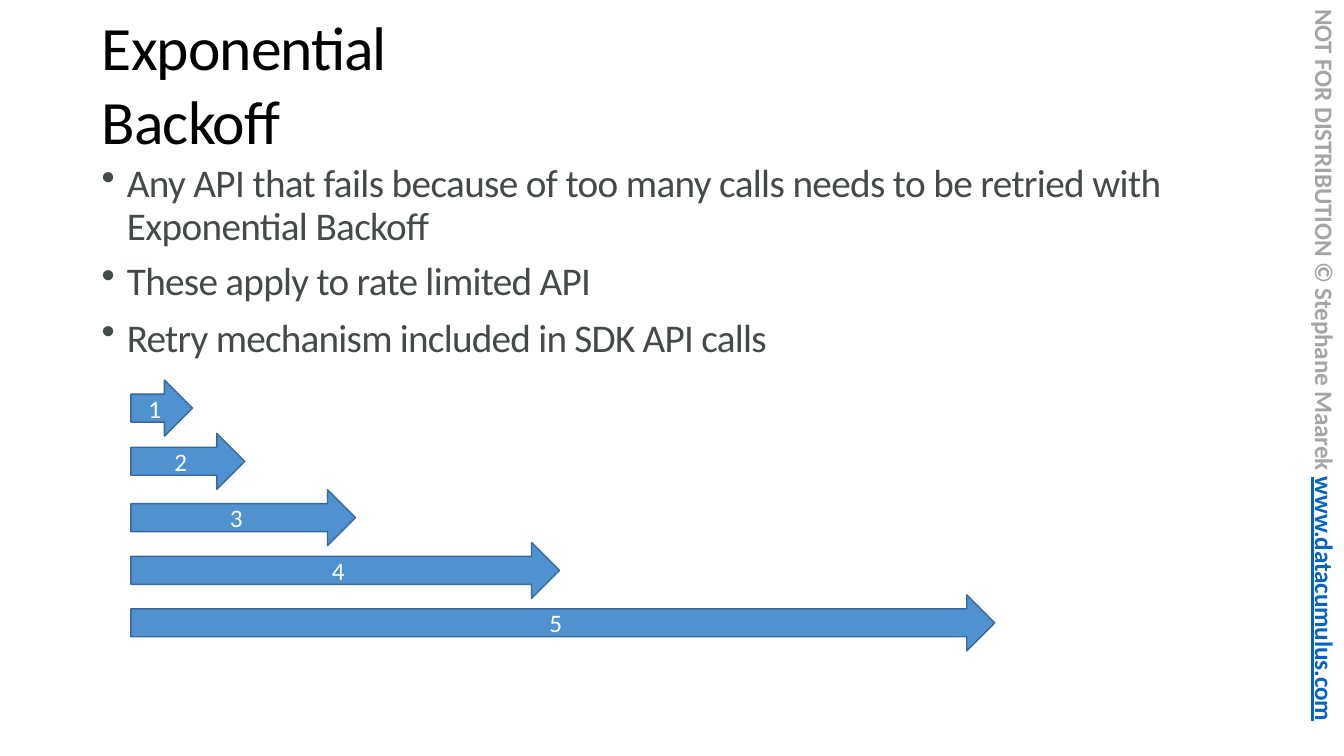
from dataclasses import dataclass

from lxml.etree import SubElement
from pptx import Presentation
from pptx.dml.color import RGBColor
from pptx.enum.shapes import MSO_SHAPE
from pptx.enum.text import MSO_ANCHOR, PP_ALIGN
from pptx.oxml.ns import qn
from pptx.util import Cm, Pt

TITLE = "Exponential Backoff"
# Bullet text, letter spacing, space before, line spacing (points)
BULLETS = [
    ("Any API that fails because of too many calls needs to be retried with "
     "Exponential Backoff", -0.46, 0, 30.2),
    ("These apply to rate limited API", -0.51, 6.1, None),
    ("Retry mechanism included in SDK API calls", -0.53, 6.7, None),
]
# Attempt, top, length (cm)
RETRIES = [
    ("1", 9.58, 1.55),
    ("2", 10.92, 2.87),
    ("3", 12.34, 5.66),
    ("4", 13.67, 10.8),
    ("5", 14.99, 21.77),
]
NOTICE = "NOT FOR DISTRIBUTION © Stephane Maarek "
SITE = "www.datacumulus.com"


@dataclass(frozen=True)
class Theme:
    font: str = "Calibri"
    title: str = "000000"
    body: str = "444949"
    notice: str = "A5A5A5"
    site: str = "0563C1"
    arrow: str = "5091D0"
    arrow_edge: str = "386998"
    arrow_label: str = "FFFFFF"
    title_size: int = 44
    body_size: int = 28
    small_size: int = 18


THEME = Theme()
RETRY_LEFT, RETRY_HEIGHT = 3.3, 1.41
BULLET_INDENT, BULLET_HANG = 0.66, -0.64


def add_text(paragraph, text, *, size, color, tracking=0, bold=False, underline=False):
    run = paragraph.add_run()
    run.text = text
    run.font.name = THEME.font
    run.font.size = Pt(size)
    run.font.bold = bold
    run.font.underline = underline
    run.font.color.rgb = RGBColor.from_string(color)
    run.font.language_id = None
    run._r.get_or_add_rPr().set("spc", str(round(tracking * 100)))


def prepare(frame, top_inset=0, anchor=MSO_ANCHOR.TOP):
    """Wrap the text and clear the insets."""
    frame.word_wrap = True
    frame.vertical_anchor = anchor
    frame.margin_left = frame.margin_right = frame.margin_bottom = 0
    frame.margin_top = Cm(top_inset)
    return frame


def add_box(slide, left, top, width, height, **layout):
    box = slide.shapes.add_textbox(Cm(left), Cm(top), Cm(width), Cm(height))
    return prepare(box.text_frame, **layout)


def make_bullet(paragraph):
    properties = paragraph._p.get_or_add_pPr()
    properties.set("marL", str(Cm(BULLET_INDENT)))
    properties.set("indent", str(Cm(BULLET_HANG)))
    SubElement(properties, qn("a:buChar")).set("char", "•")


def add_bullets(slide):
    frame = add_box(slide, 2.54, 3.94, 27.23, 5.5, top_inset=0.18)
    for index, (text, tracking, before, spacing) in enumerate(BULLETS):
        paragraph = frame.add_paragraph() if index else frame.paragraphs[0]
        make_bullet(paragraph)
        if before:
            paragraph.space_before = Pt(before)
        if spacing:
            paragraph.line_spacing = Pt(spacing)
        add_text(paragraph, text, size=THEME.body_size, color=THEME.body,
                 tracking=tracking)


def add_retry(slide, attempt, top, length):
    arrow = slide.shapes.add_shape(MSO_SHAPE.RIGHT_ARROW, Cm(RETRY_LEFT), Cm(top),
                                   Cm(length), Cm(RETRY_HEIGHT))
    arrow.shadow.inherit = False
    arrow.fill.solid()
    arrow.fill.fore_color.rgb = RGBColor.from_string(THEME.arrow)
    arrow.line.color.rgb = RGBColor.from_string(THEME.arrow_edge)
    arrow.line.width = Pt(1)
    label = prepare(arrow.text_frame, anchor=MSO_ANCHOR.MIDDLE).paragraphs[0]
    label.alignment = PP_ALIGN.CENTER
    add_text(label, attempt, size=THEME.small_size, color=THEME.arrow_label)


def add_notice(slide):
    frame = add_box(slide, 32.94, 0.23, 0.84, 18.6)
    frame._txBody.bodyPr.set("vert", "vert")
    line = frame.paragraphs[0]
    add_text(line, NOTICE, size=THEME.small_size, color=THEME.notice,
             tracking=-0.1, bold=True)
    add_text(line, SITE, size=THEME.small_size, color=THEME.site,
             tracking=-0.1, bold=True, underline=True)


def main():
    deck = Presentation()
    deck.slide_width, deck.slide_height = Cm(33.87), Cm(19.05)
    slide = deck.slides.add_slide(deck.slide_layouts[6])
    add_notice(slide)
    title = add_box(slide, 2.57, 0.2, 9.6, 3.8, anchor=MSO_ANCHOR.MIDDLE)
    add_text(title.paragraphs[0], TITLE, size=THEME.title_size, color=THEME.title,
             tracking=-0.7)
    add_bullets(slide)
    for attempt, top, length in RETRIES:
        add_retry(slide, attempt, top, length)
    deck.save("out.pptx")


if __name__ == "__main__":
    main()
